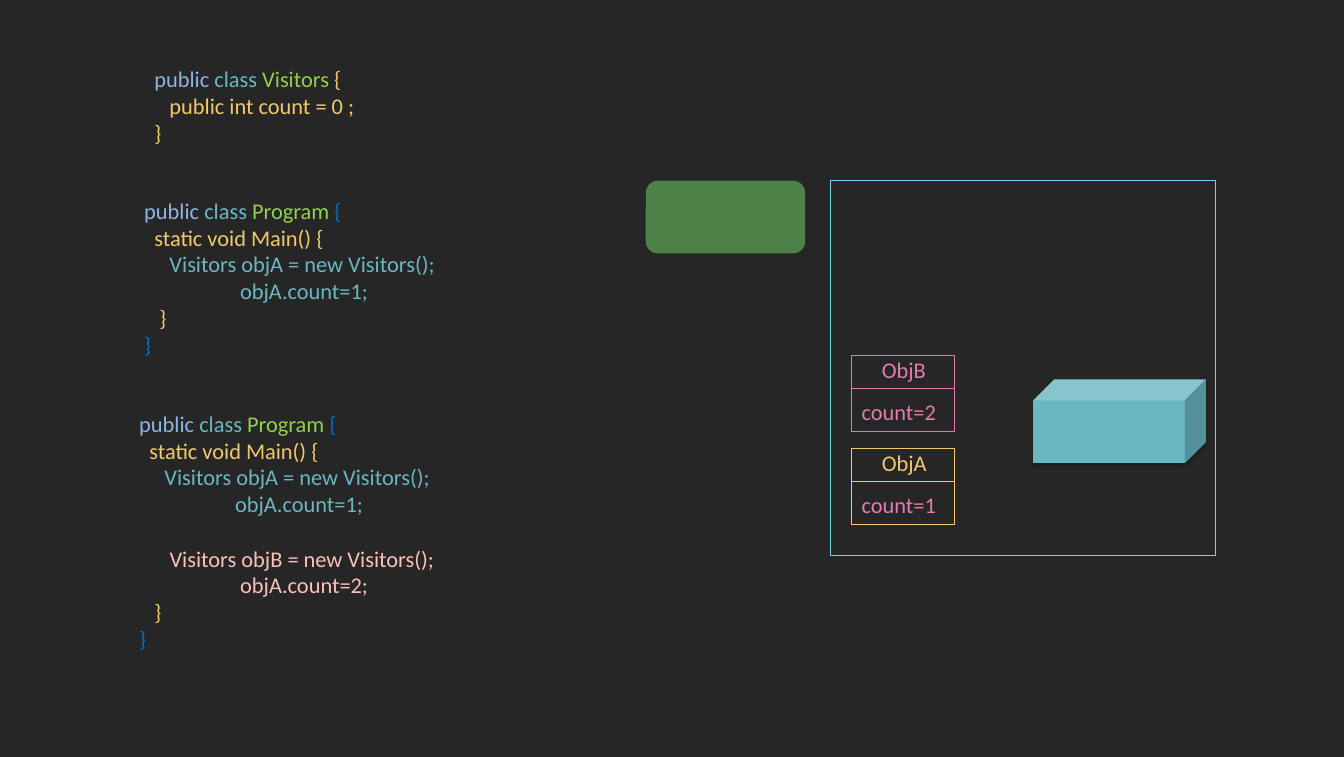
from lxml import etree
from pptx import Presentation
from pptx.dml.color import RGBColor
from pptx.enum.shapes import MSO_CONNECTOR, MSO_SHAPE
from pptx.oxml.ns import qn
from pptx.util import Inches, Pt

RECTANGLE = MSO_SHAPE.RECTANGLE
ROUNDED = MSO_SHAPE.ROUNDED_RECTANGLE
CUBE = MSO_SHAPE.CUBE
STRAIGHT = MSO_CONNECTOR.STRAIGHT

FONT = "Calibri"
SIZE = 16
BLUE, TEAL, LIME, GOLD = "8EB4E3", "6AB7C2", "92D050", "F1C96C"
NAVY, ROSE, PINK = "0070C0", "FBC0B8", "E37BB1"
CARD_LEFT, CARD_WIDTH, CARD_HEIGHT = 8.44, 1.02, 0.76

VISITORS_CLASS = [
    [("public ", BLUE), ("class ", TEAL), ("Visitors", LIME), (" {", GOLD)],
    [("   public int count = 0 ;", GOLD)],
    [("}", GOLD)],
]
PROGRAM_START = [
    [("public ", BLUE), ("class ", TEAL), ("Program ", LIME), ("{", NAVY)],
    [("  static void Main() {", GOLD)],
    [("     Visitors objA = new Visitors();", TEAL)],
    [(" " * 19 + "objA.count=1;", TEAL)],
]
SECOND_OBJECT = [
    [("      Visitors objB = new Visitors();", ROSE)],
    [(" " * 20 + "objA.count=2;", ROSE)],
]
PROGRAM_END = [[("   }", GOLD)], [("}", NAVY)]]


def rgb(value):
    """Return the colour for a hex string."""
    return RGBColor.from_string(value)


def add_text(page, left, top, width, height, lines):
    """Add a text box of coloured lines and return its text frame."""
    box = page.shapes.add_textbox(
        Inches(left), Inches(top), Inches(width), Inches(height))
    frame = box.text_frame
    frame.word_wrap = True
    frame.margin_left = frame.margin_right = Inches(0.05)
    frame.margin_top = frame.margin_bottom = Inches(0.05)
    for index, line in enumerate(lines):
        para = frame.paragraphs[0] if index == 0 else frame.add_paragraph()
        for text, color in line:
            span = para.add_run()
            span.text = text
            span.font.name = FONT
            span.font.size = Pt(SIZE)
            span.font.color.rgb = rgb(color)
    return frame


def add_block(page, kind, left, top, width, height,
              fill=None, line=None, weight=0.75):
    """Add a preset shape with an optional fill and outline."""
    block = page.shapes.add_shape(
        kind, Inches(left), Inches(top), Inches(width), Inches(height))
    block.shadow.inherit = False
    if fill:
        block.fill.solid()
        block.fill.fore_color.rgb = rgb(fill)
    else:
        block.fill.background()
    if line:
        block.line.color.rgb = rgb(line)
        block.line.width = Pt(weight)
    else:
        block.line.fill.background()
    return block


def set_opacity(color_element, percent):
    """Set the opacity of a colour element."""
    alpha = etree.SubElement(color_element, qn("a:alpha"))
    alpha.set("val", str(percent * 1000))


def add_drop_shadow(block):
    """Give a shape a soft shadow straight below it."""
    effects = block._element.spPr.find(qn("a:effectLst"))
    shadow = etree.SubElement(
        effects, qn("a:outerShdw"), blurRad=str(Pt(3)), dist=str(Pt(1.8)),
        dir="5400000", rotWithShape="0")
    color = etree.SubElement(shadow, qn("a:srgbClr"), val="000000")
    set_opacity(color, 35)


def add_divider(page, left, top, width, color):
    """Add a thin horizontal line."""
    divider = page.shapes.add_connector(
        STRAIGHT, Inches(left), Inches(top), Inches(left + width), Inches(top))
    divider.line.color.rgb = rgb(color)
    divider.line.width = Pt(0.75)
    etree.SubElement(divider._element.spPr, qn("a:effectLst"))


def add_object_card(page, top, name, field, color):
    """Add an object card with its name above its field."""
    add_block(page, RECTANGLE, CARD_LEFT, top, CARD_WIDTH, CARD_HEIGHT,
              line=color)
    add_divider(page, CARD_LEFT, top + 0.33, CARD_WIDTH, color)
    add_text(page, CARD_LEFT + 0.25, top - 0.04, 0.63, 0.36, [[(name, color)]])
    add_text(page, CARD_LEFT + 0.05, top + 0.38, 1.09, 0.36, [[(field, PINK)]])


def main():
    """Build the slide about objects in memory."""
    deck = Presentation()
    deck.slide_width = Inches(13.32)
    deck.slide_height = Inches(7.5)
    page = deck.slides.add_slide(deck.slide_layouts[6])
    page.background.fill.solid()
    page.background.fill.fore_color.rgb = rgb("262626")

    add_block(page, RECTANGLE, 8.23, 1.79, 3.82, 3.71, line="75D1E6", weight=0)
    add_object_card(page, 4.44, "ObjA", "count=1", GOLD)
    add_object_card(page, 3.52, "ObjB", "count=2", PINK)

    add_text(page, 1.48, 0.6, 2.64, 0.9, VISITORS_CLASS)
    add_text(page, 1.38, 1.9, 3.74, 1.69, PROGRAM_START + PROGRAM_END)
    program = add_text(page, 1.33, 4.01, 3.81, 2.49,
                       PROGRAM_START + SECOND_OBJECT + PROGRAM_END)
    program.paragraphs[len(PROGRAM_START)].space_before = Pt(19.5)

    button = add_block(page, ROUNDED, 6.4, 1.79, 1.58, 0.72, fill="73DC69")
    set_opacity(button.fill._xPr.find(".//" + qn("a:srgbClr")), 50)
    cube = add_block(page, CUBE, 10.24, 3.76, 1.71, 0.83, fill=TEAL)
    add_drop_shadow(cube)

    deck.save("out.pptx")


if __name__ == "__main__":
    main()
